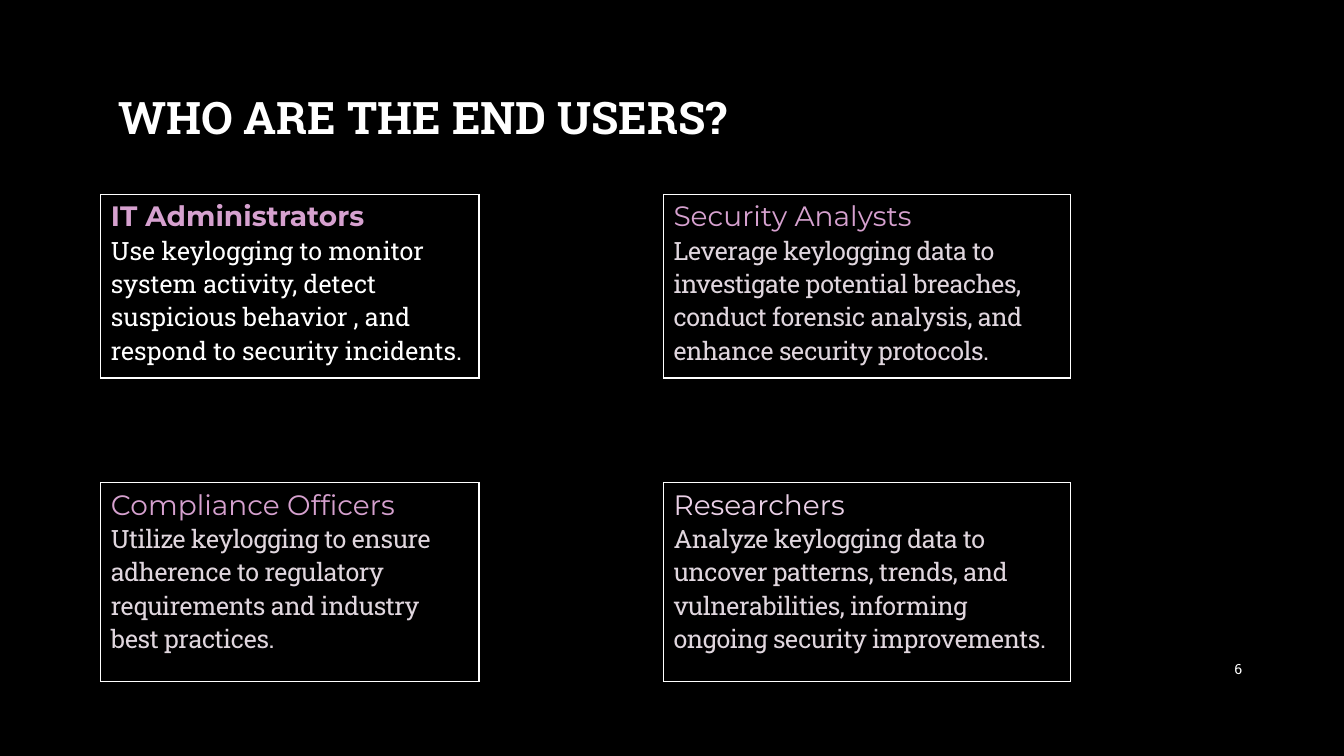
from pptx import Presentation
from pptx.dml.color import RGBColor
from pptx.enum.text import MSO_ANCHOR, PP_ALIGN
from pptx.oxml import parse_xml
from pptx.oxml.ns import nsdecls
from pptx.util import Inches, Pt

BLACK = RGBColor(0x00, 0x00, 0x00)
WHITE = RGBColor(0xFF, 0xFF, 0xFF)
ORCHID = RGBColor(0xD6, 0xA1, 0xCF)
PALE_PINK = RGBColor(0xEB, 0xD0, 0xE7)
MIST = RGBColor(0xE0, 0xD6, 0xDE)

HEADING_FONT = "Montserrat"
BODY_FONT = "Roboto Slab"

# (left, width) and (top, height) in inches
COLUMNS = [(1, 3.75), (6.58, 4.04)]
ROWS = [(1.93, 1.82), (4.79, 1.97)]

# heading, heading colour, bold, description, description colour, letter spacing in points
USERS = [
    ("IT Administrators", ORCHID, True,
     "Use keylogging to monitor system activity, detect suspicious behavior , "
     "and respond to security incidents.", WHITE, 0),
    ("Security Analysts", ORCHID, False,
     "Leverage keylogging data to investigate potential breaches, conduct "
     "forensic analysis, and enhance security protocols.", MIST, -0.3),
    ("Compliance Officers", ORCHID, False,
     "Utilize keylogging to ensure adherence to regulatory requirements and "
     "industry best practices.", MIST, -0.3),
    ("Researchers", PALE_PINK, False,
     "Analyze keylogging data to uncover patterns, trends, and "
     "vulnerabilities, informing ongoing security improvements.", MIST, -0.3),
]


def write(paragraph, text, font_name, size, color, bold=False, spacing=0):
    """Fill a paragraph with one run; spacing is the letter spacing in points."""
    run = paragraph.add_run()
    run.text = text
    if spacing:
        run._r.get_or_add_rPr().set("spc", str(round(spacing * 100)))
    font = paragraph.font
    font.name, font.size, font.bold = font_name, Pt(size), bold
    font.color.rgb = color


def set_frame(text_frame, top_inset):
    text_frame.word_wrap = True
    text_frame.vertical_anchor = MSO_ANCHOR.MIDDLE
    text_frame.margin_left = text_frame.margin_right = text_frame.margin_bottom = 0
    text_frame.margin_top = Inches(top_inset)


def outline_cell(cell, color, width):
    properties = cell._tc.get_or_add_tcPr()
    for side in "LRTB":
        properties.append(parse_xml(
            f'<a:ln{side} {nsdecls("a")} w="{Pt(width)}"><a:solidFill>'
            f'<a:srgbClr val="{color}"/></a:solidFill></a:ln{side}>'))


def add_title(slide, text):
    title = slide.shapes.title
    title.left, title.top = Inches(0.16), Inches(0.87)
    title.width, title.height = Inches(8.07), Inches(0.56)
    set_frame(title.text_frame, 0.02)
    paragraph = title.text_frame.paragraphs[0]
    paragraph.alignment = PP_ALIGN.CENTER
    paragraph.space_before = Pt(1.3)
    paragraph.line_spacing = 1
    write(paragraph, text, BODY_FONT, 32, WHITE, bold=True)


def add_page_number(slide, number):
    box = slide.shapes.add_textbox(Inches(11.5), Inches(6.43), Inches(0.82), Inches(0.4))
    set_frame(box.text_frame, 0.01)
    paragraph = box.text_frame.paragraphs[0]
    paragraph.alignment = PP_ALIGN.RIGHT
    paragraph.space_before = Pt(0.6)
    write(paragraph, number, BODY_FONT, 10, WHITE, spacing=0.1)


def add_user_card(slide, column, row, user):
    """Add a one-cell table with a heading and a description."""
    (left, width), (top, height) = column, row
    heading, heading_color, bold, description, description_color, spacing = user
    table = slide.shapes.add_table(
        1, 1, Inches(left), Inches(top), Inches(width), Inches(height)).table
    table.first_row = table.horz_banding = False
    cell = table.cell(0, 0)
    outline_cell(cell, WHITE, 1)
    cell.fill.background()
    text_frame = cell.text_frame
    write(text_frame.paragraphs[0], heading, HEADING_FONT, 20, heading_color, bold)
    write(text_frame.add_paragraph(), description, BODY_FONT, 18,
          description_color, spacing=spacing)


def main():
    presentation = Presentation()
    presentation.slide_width, presentation.slide_height = Inches(13.33), Inches(7.5)
    slide = presentation.slides.add_slide(presentation.slide_layouts.get_by_name("Title Only"))
    slide.background.fill.solid()
    slide.background.fill.fore_color.rgb = BLACK

    add_title(slide, "WHO ARE THE END USERS?")
    add_page_number(slide, "6")
    for index, user in enumerate(USERS):
        row, column = divmod(index, len(COLUMNS))
        add_user_card(slide, COLUMNS[column], ROWS[row], user)

    presentation.save("out.pptx")


if __name__ == "__main__":
    main()
